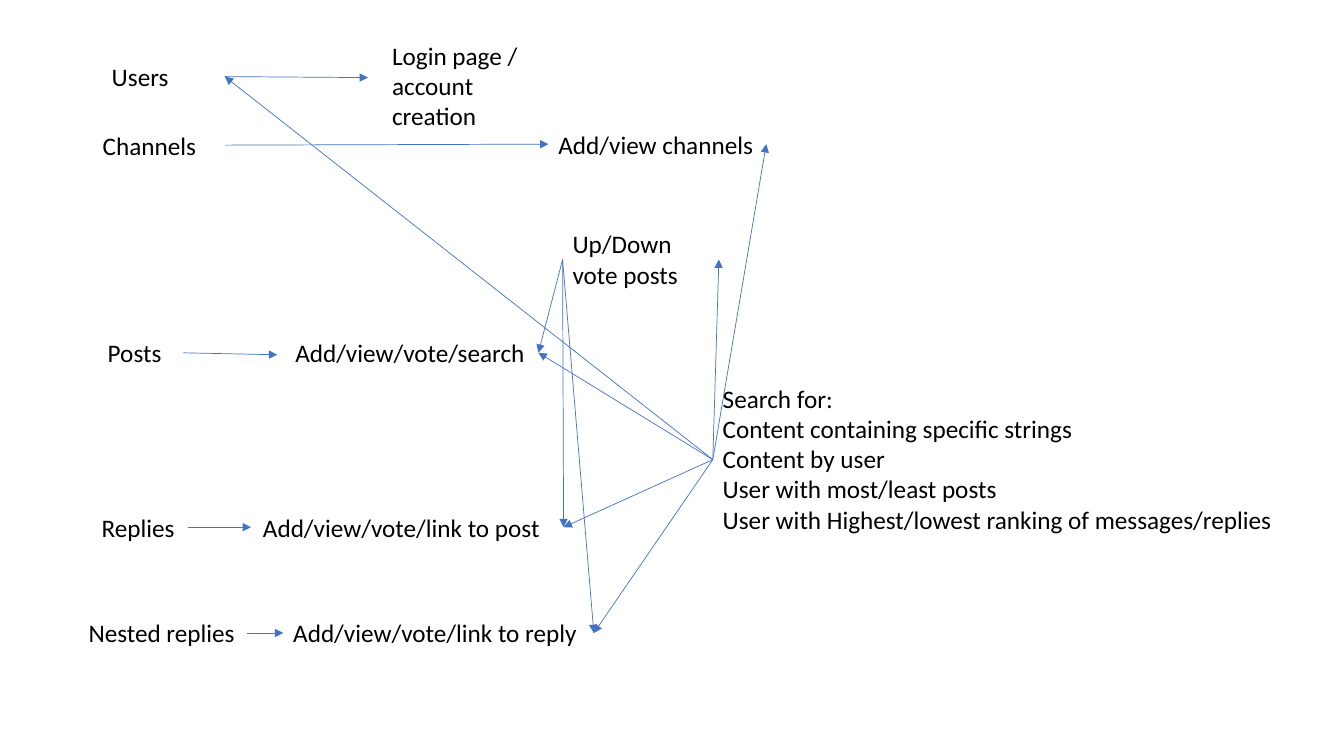
from lxml import etree
from pptx import Presentation
from pptx import util as u
from pptx.dml.color import RGBColor
from pptx.enum import shapes, text
from pptx.oxml.ns import qn

PX = 9144  # 100 px to the inch
COLORS = {"text": "000000", "arrow": "4472C4"}
LEFT, RIGHT = 1, 3

# name: (left, top, width, height, wording)
LABELS = {
    "users": (101, 56, 122, 40, "Users"),
    "channels": (92, 124, 131, 40, "Channels"),
    "posts": (97, 330, 85, 40, "Posts"),
    "replies": (91, 503, 95, 40, "Replies"),
    "nested": (78, 608, 193, 40, "Nested replies"),
    "vote": (558, 222, 155, 71, "Up/Down vote posts"),
    "search": (707, 375, 604, 162,
               "Search for:\n"
               "Content containing specific strings\n"
               "Content by user\n"
               "User with most/least posts\n"
               "User with Highest/lowest ranking of messages/replies"),
    "login": (379, 35, 151, 101, "Login page / account creation"),
    "channel actions": (544, 123, 216, 40, "Add/view channels"),
    "post actions": (283, 330, 251, 40, "Add/view/vote/search"),
    "reply actions": (251, 503, 308, 40, "Add/view/vote/link to post"),
    "nested actions": (281, 608, 308, 40, "Add/view/vote/link to reply"),
}

# An end is either a (label, side) pair or a free (x, y) point.
ARROWS = [
    (("users", RIGHT), (365, 77)),
    (("channels", RIGHT), ("channel actions", LEFT)),
    (("posts", RIGHT), (275, 352)),
    (("replies", RIGHT), (249, 523)),
    ((245, 628), ("nested actions", LEFT)),
]
ARROWS += [(("vote", LEFT), (target, RIGHT)) for target in
           ("post actions", "reply actions", "nested actions")]
ARROWS += [(("search", LEFT), (target, RIGHT)) for target in
           ("nested actions", "reply actions", "post actions", "vote",
            "channel actions", "users")]

prs = Presentation()
prs.slide_width, prs.slide_height = 1333 * PX, 750 * PX
s = prs.slides.add_slide(prs.slide_layouts[6])

boxes = {}
for name, (x, y, w, h, wording) in LABELS.items():
    sp = s.shapes.add_textbox(x * PX, y * PX, w * PX, h * PX)
    tf = sp.text_frame
    tf.word_wrap = name != "channel actions"
    tf.auto_size = text.MSO_AUTO_SIZE.SHAPE_TO_FIT_TEXT
    tf.text = wording
    for p in tf.paragraphs:
        p.font.name = "Calibri"
        p.font.size = u.Pt(18)
        p.font.color.rgb = RGBColor.from_string(COLORS["text"])
    boxes[name] = sp

for start, end in ARROWS:
    points = [(0, 0) if a in boxes else (a * PX, b * PX) for a, b in (start, end)]
    arrow = s.shapes.add_connector(shapes.MSO_CONNECTOR.STRAIGHT, *points[0], *points[1])
    if start[0] in boxes:
        arrow.begin_connect(boxes[start[0]], start[1])
    if end[0] in boxes:
        arrow.end_connect(boxes[end[0]], end[1])
    arrow.line.color.rgb = RGBColor.from_string(COLORS["arrow"])
    arrow.line.width = u.Pt(0.5)
    etree.SubElement(arrow.line._get_or_add_ln(), qn("a:tailEnd"), type="triangle")
    etree.SubElement(arrow._element.spPr, qn("a:effectLst"))

prs.save("out.pptx")
